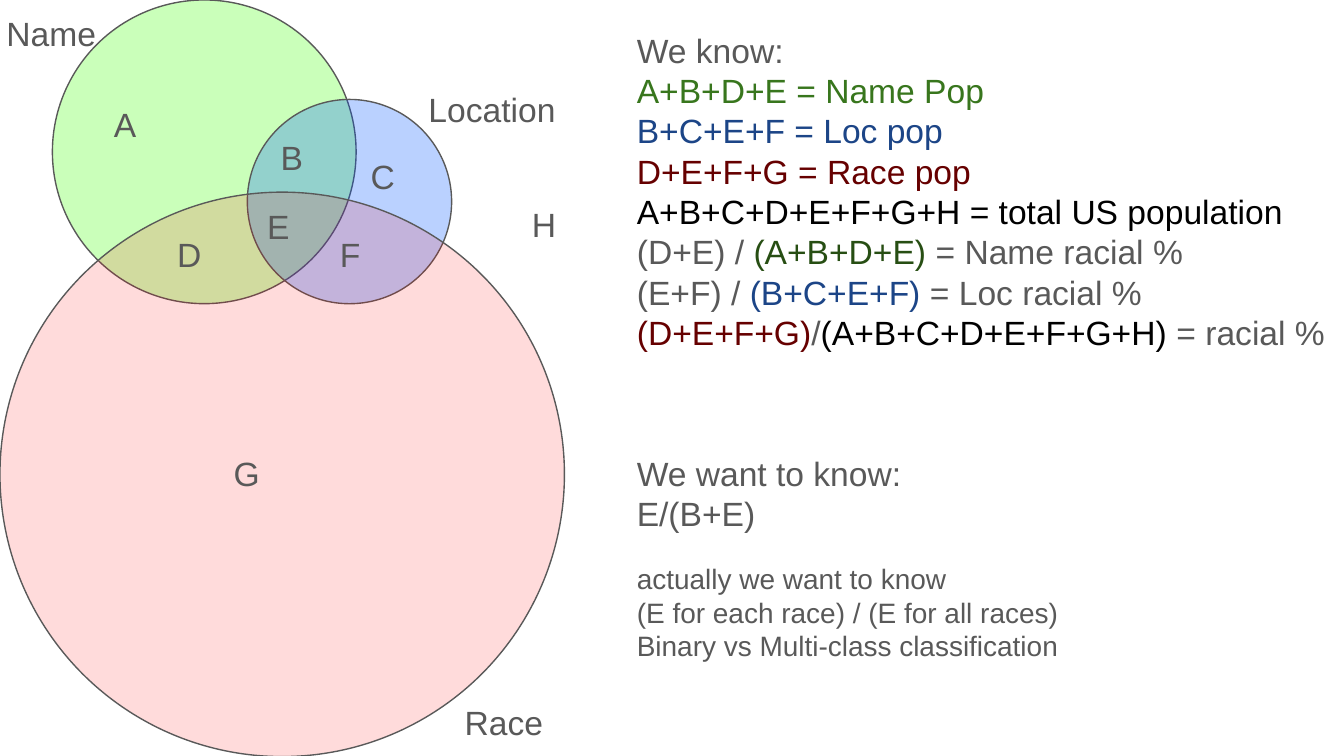
from lxml.etree import SubElement
from pptx import Presentation
from pptx.dml.color import RGBColor
from pptx.enum.shapes import MSO_SHAPE
from pptx.enum.text import MSO_AUTO_SIZE
from pptx.oxml.ns import qn
from pptx.util import Inches, Pt

GRAY, BLACK, NAVY, MAROON = "595959", "000000", "1C4587", "660000"
GREEN, DARK_GREEN = "38761D", "274E13"
TEXT_LEFT = 4.64
LABEL_HEIGHT = 0.5

CIRCLES = [
    (0.39, 0, 2.26, "3CFF00", 27),
    (1.84, 0.74, 1.52, "0055FF", 27),
    (0, 1.43, 4.2, "FF0000", 14),
]
SET_NAMES = [("Location", 3.09, 0.56), ("Name", -0.05, 0), ("Race", 3.36, 5.12)]
REGIONS = [
    ("A", 0.75, 0.67), ("B", 1.99, 0.92), ("C", 2.66, 1.06), ("D", 1.22, 1.64),
    ("E", 1.89, 1.43), ("F", 2.43, 1.64), ("G", 1.64, 3.27),
]
OUTSIDE = [("H", 3.86, 1.42)]
KNOWN = [
    [("We know:", GRAY)],
    [("A+B+D+E = Name Pop", GREEN)],
    [("B+C+E+F = Loc pop", NAVY)],
    [("D+E+F+G = Race pop", MAROON)],
    [("A+B+C+D+E+F+G+H = total US population", BLACK)],
    [("(D+E) / ", GRAY), ("(A+B+D+E)", DARK_GREEN), (" = Name racial %", GRAY)],
    [("(E+F) / ", GRAY), ("(B+C+E+F) ", NAVY), ("= Loc racial %", GRAY)],
    [("(D+E+F+G)", MAROON), ("/", GRAY), ("(A+B+C+D+E+F+G+H)", BLACK), (" = racial %", GRAY)],
]
WANTED = [[("We want to know:", GRAY)], [("E/(B+E)", GRAY)]]
REFINED = [
    [("actually we want to know", GRAY)],
    [("(E for each race) / (E for all races)", GRAY)],
    [("Binary vs Multi-class classification", GRAY)],
]
NOTES = [
    (KNOWN, 0.12, 5.38, 2.63, 18),
    (WANTED, 3.27, 5.07, 0.81, 18),
    (REFINED, 4.08, 5.27, 0.96, 15),
]


def color(value):
    return RGBColor.from_string(value)


def add_circle(page, left, top, diameter, fill, opacity):
    circle = page.shapes.add_shape(
        MSO_SHAPE.OVAL, Inches(left), Inches(top), Inches(diameter), Inches(diameter))
    circle.shadow.inherit = False
    circle.fill.solid()
    circle.fill.fore_color.rgb = color(fill)
    fill_color = circle.fill._xPr.find(qn("a:solidFill"))[0]
    SubElement(fill_color, qn("a:alpha")).set("val", str(opacity * 1000))
    circle.line.color.rgb = color(GRAY)
    circle.line.width = Pt(0.75)


def add_text(page, lines, left, top, width, height, size=18):
    box = page.shapes.add_textbox(Inches(left), Inches(top), Inches(width), Inches(height))
    frame = box.text_frame
    frame.word_wrap = True
    frame.auto_size = MSO_AUTO_SIZE.SHAPE_TO_FIT_TEXT
    frame.margin_left = frame.margin_right = Inches(0.1)
    frame.margin_top = frame.margin_bottom = Inches(0.1)
    for index, line in enumerate(lines):
        para = frame.add_paragraph() if index else frame.paragraphs[0]
        for text, ink in line:
            span = para.add_run()
            span.text = text
            span.font.name = "Arial"
            span.font.size = Pt(size)
            span.font.color.rgb = color(ink)


def main():
    """Build the Venn diagram of name, location and race with its formulas."""
    deck = Presentation()
    deck.slide_width = Inches(10)
    deck.slide_height = deck.slide_width * 9 // 16
    page = deck.slides.add_slide(deck.slide_layouts[6])
    for circle in CIRCLES:
        add_circle(page, *circle)
    for labels, width in ((SET_NAMES, 1.27), (REGIONS, 0.6), (OUTSIDE, 0.49)):
        for text, left, top in labels:
            add_text(page, [[(text, GRAY)]], left, top, width, LABEL_HEIGHT)
    for lines, top, width, height, size in NOTES:
        add_text(page, lines, TEXT_LEFT, top, width, height, size)
    deck.save("out.pptx")


if __name__ == "__main__":
    main()
